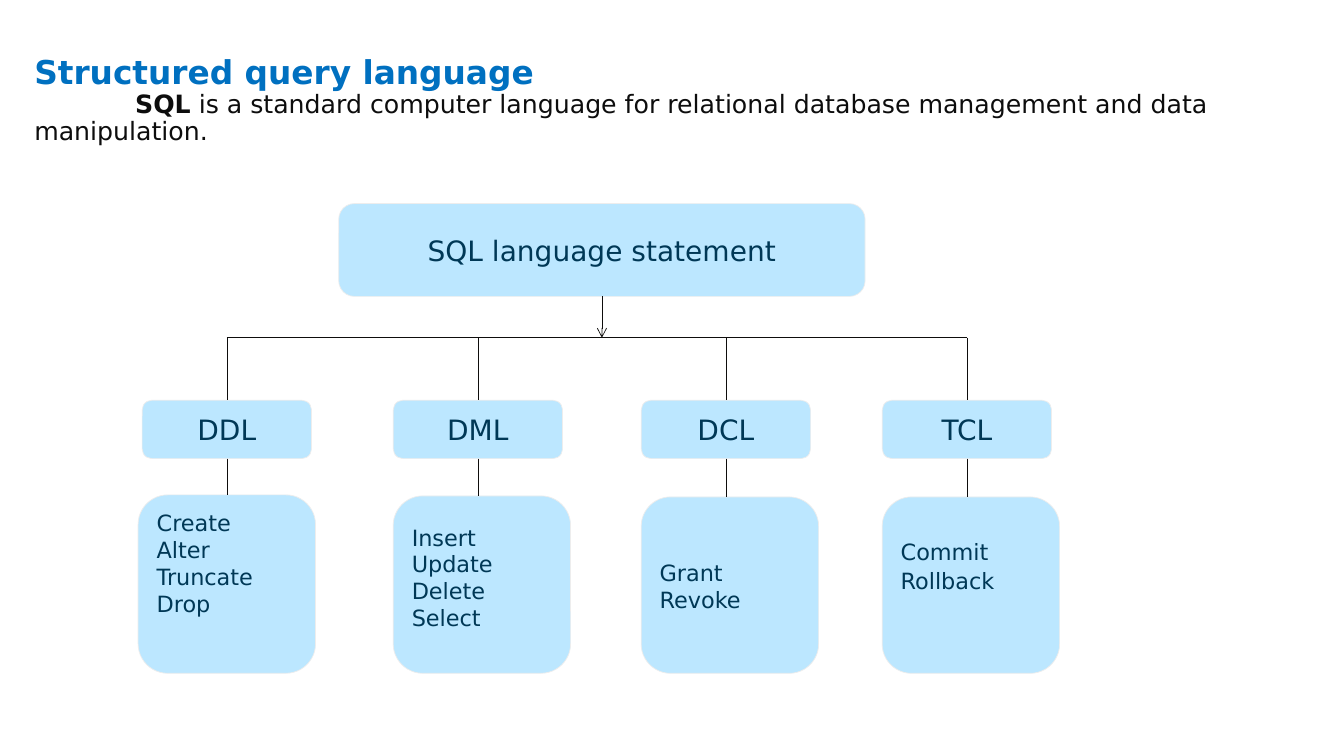
from dataclasses import dataclass

from lxml import etree
from pptx import Presentation
from pptx.dml.color import RGBColor
from pptx.enum.shapes import MSO_CONNECTOR, MSO_SHAPE
from pptx.enum.text import MSO_ANCHOR, MSO_AUTO_SIZE, PP_ALIGN
from pptx.oxml.ns import qn
from pptx.util import Inches, Pt

STRAIGHT = MSO_CONNECTOR.STRAIGHT
ROUNDED = MSO_SHAPE.ROUNDED_RECTANGLE
TOP, MIDDLE = MSO_ANCHOR.TOP, MSO_ANCHOR.MIDDLE
LEFT, CENTER = PP_ALIGN.LEFT, PP_ALIGN.CENTER
NO_FIT = MSO_AUTO_SIZE.NONE
TOP_SIDE, BOTTOM_SIDE = 0, 2
TITLE_ONLY = 5


@dataclass(frozen=True)
class Theme:
    font: str = "DejaVu Sans"
    heading: str = "0070C0"
    body: str = "0D0D0D"
    fill: str = "BCE7FF"
    outline: str = "EDEDED"
    label: str = "003856"
    line: str = "0E0D0C"
    heading_size: float = 23.4
    body_size: float = 18
    label_size: float = 20
    list_size: float = 16
    thin: float = 0.5
    thick: float = 1


THEME = Theme()

# Group name, left edge, list top, inset above first command, gap in points, commands
GROUPS = [
    ("DDL", 1.41, 1.37, 4.91, 0.06, 0, ["Create", "Alter", "Truncate", "Drop"]),
    ("DML", 3.9, 3.9, 4.92, 0.19, 0, ["Insert", "Update", "Delete", "Select"]),
    ("DCL", 6.36, 6.36, 4.93, 0.53, 0, ["Grant", "Revoke"]),
    ("TCL", 8.75, 8.75, 4.93, 0.32, 2, ["Commit", "Rollback"]),
]
ROOT_BOX = (3.36, 2.02, 5.22, 0.92)
TAG_TOP, TAG_WIDTH, TAG_HEIGHT = 3.97, 1.68, 0.58
LIST_WIDTH, LIST_BOTTOM = 1.76, 6.68
BAR_TOP = 3.35


def apply(target, values):
    for name, value in values.items():
        setattr(target, name, value)


def add_span(para, text, size, color, bold=False):
    span = para.add_run()
    span.text = text
    apply(span.font, {"name": THEME.font, "size": Pt(size), "bold": bold})
    span.font.color.rgb = RGBColor.from_string(color)


def add_box(page, box, lines, size, align=CENTER, anchor=MIDDLE, top_inset=0.05, gap=0):
    shape = page.shapes.add_shape(ROUNDED, *map(Inches, box))
    shape.shadow.inherit = False
    shape.fill.solid()
    shape.fill.fore_color.rgb = RGBColor.from_string(THEME.fill)
    shape.line.color.rgb = RGBColor.from_string(THEME.outline)
    shape.line.width = Pt(THEME.thin)
    frame = shape.text_frame
    apply(frame, {"word_wrap": True, "vertical_anchor": anchor,
                  "margin_top": Inches(top_inset)})
    for index, text in enumerate(lines):
        para = frame.add_paragraph() if index else frame.paragraphs[0]
        apply(para, {"alignment": align, "space_before": Pt(gap if index else 0)})
        add_span(para, text, size, THEME.label)
    return shape


def add_line(page, start, end, width=THEME.thin, arrow=False):
    line = page.shapes.add_connector(STRAIGHT, *map(Inches, (*start, *end)))
    line.line.color.rgb = RGBColor.from_string(THEME.line)
    line.line.width = Pt(width)
    if arrow:
        outline = line.line._get_or_add_ln()
        etree.SubElement(outline, qn("a:tailEnd"), type="arrow")
    etree.SubElement(line._element.spPr, qn("a:effectLst"))
    return line


def add_title(page, box):
    title = page.shapes.title
    apply(title, dict(zip(("left", "top", "width", "height"), map(Inches, box))))
    frame = title.text_frame
    apply(frame, {"word_wrap": True, "auto_size": NO_FIT, "vertical_anchor": TOP,
                  "margin_left": 0, "margin_right": 0, "margin_top": 0, "margin_bottom": 0})
    heading, summary = frame.paragraphs[0], frame.add_paragraph()
    for para in (heading, summary):
        apply(para, {"alignment": LEFT, "line_spacing": 0.9,
                     "space_before": Pt(0), "space_after": Pt(0)})
    summary._p.get_or_add_pPr().set("indent", str(Inches(1)))
    add_span(heading, "Structured query language", THEME.heading_size, THEME.heading, True)
    add_span(summary, "SQL", THEME.body_size, THEME.body, True)
    add_span(summary, " is a standard computer language for relational database "
             "management and data manipulation.", THEME.body_size, THEME.body)


def add_root(page, box):
    left, top, width, height = box
    root = add_box(page, box, ["SQL language statement"], THEME.label_size)
    center = left + width / 2
    trunk = add_line(page, (center, top + height), (center, BAR_TOP), arrow=True)
    trunk.begin_connect(root, BOTTOM_SIDE)


def add_group(page, group):
    name, tag_left, list_left, list_top, inset, gap, commands = group
    center = tag_left + TAG_WIDTH / 2
    tag_box = (tag_left, TAG_TOP, TAG_WIDTH, TAG_HEIGHT)
    tag = add_box(page, tag_box, [name], THEME.label_size)
    list_box = (list_left, list_top, LIST_WIDTH, LIST_BOTTOM - list_top)
    listing = add_box(page, list_box, commands, THEME.list_size, LEFT, TOP, inset, gap)

    drop = add_line(page, (center, BAR_TOP), (center, TAG_TOP))
    drop.end_connect(tag, TOP_SIDE)
    link = add_line(page, (center, TAG_TOP + TAG_HEIGHT), (center, list_top))
    link.begin_connect(tag, BOTTOM_SIDE)
    if abs(list_left + LIST_WIDTH / 2 - center) < 0.01:
        link.end_connect(listing, TOP_SIDE)


def add_tree(page):
    add_root(page, ROOT_BOX)
    # Bar spans the centres of the outer groups
    first, last = (GROUPS[end][1] + TAG_WIDTH / 2 for end in (0, -1))
    add_line(page, (first, BAR_TOP), (last, BAR_TOP), THEME.thick)
    for group in GROUPS:
        add_group(page, group)


def main():
    deck = Presentation()
    apply(deck, {"slide_width": Inches(13.33), "slide_height": Inches(7.5)})
    page = deck.slides.add_slide(deck.slide_layouts[TITLE_ONLY])
    add_title(page, (0.34, 0.56, 12.05, 0.94))
    add_tree(page)
    deck.save("out.pptx")


if __name__ == "__main__":
    main()
